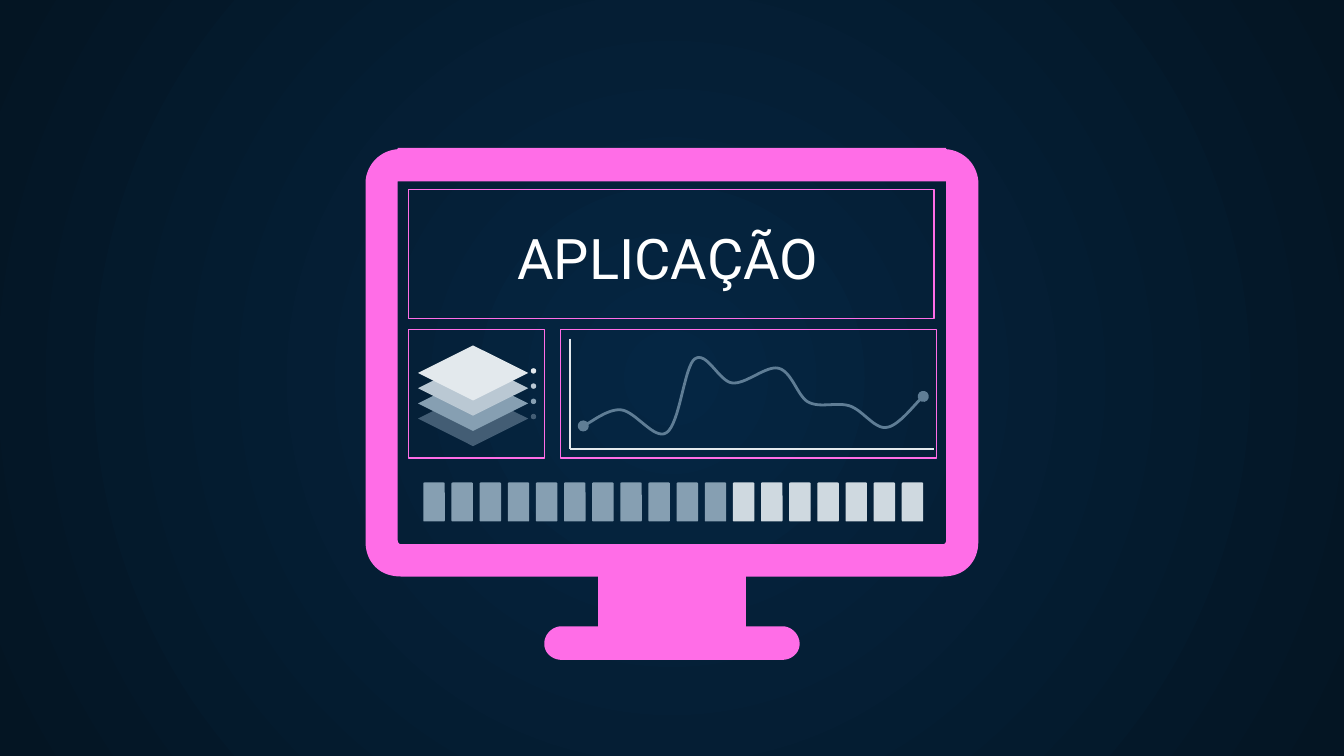
from lxml import etree
from pptx import Presentation
from pptx.dml.color import RGBColor
from pptx.enum.shapes import MSO_CONNECTOR, MSO_SHAPE as Preset
from pptx.enum.text import MSO_ANCHOR as Anchor, PP_ALIGN as Align
from pptx.oxml.ns import qn
from pptx.util import Inches, Pt

PINK, WHITE, PALE, SLATE = "FF6DE7", "FFFFFF", "E3E9ED", "5F7D95"
GLOW, NIGHT = "052643", "041523"
LAYERS = ["435D74", "869FB2", "BAC8D3", PALE]
BAR_DONE, BAR_LEFT = "869FB2", "CFD9E0"
CENTER_X = 5

# In an outline, a pair is a straight step and a six-tuple is a Bézier curve.
MONITOR_LEFT = [
    (CENTER_X, 1.1), (2.96, 1.1), (2.96, 1.11),
    (2.83, 1.12, 2.73, 1.22, 2.72, 1.35), (2.72, 4.02),
    (2.72, 4.08, 2.73, 4.12, 2.75, 4.16),
    (2.8, 4.25, 2.88, 4.29, 2.99, 4.29),
    (4.45, 4.29), (4.45, 4.66), (4.18, 4.66),
    (4.11, 4.66, 4.05, 4.72, 4.05, 4.79),
    (4.05, 4.86, 4.11, 4.91, 4.18, 4.91), (CENTER_X, 4.91)]
SCREEN_LEFT = [
    (CENTER_X, 1.35), (2.96, 1.35), (2.96, 4.02),
    (2.96, 4.04, 2.97, 4.05, 2.99, 4.05), (CENTER_X, 4.05)]
TREND = [
    (4.34, 3.17),
    (4.39, 3.15, 4.52, 3.04, 4.62, 3.05),
    (4.73, 3.06, 4.87, 3.28, 4.96, 3.22),
    (5.06, 3.15, 5.09, 2.73, 5.17, 2.67),
    (5.26, 2.61, 5.35, 2.84, 5.45, 2.85),
    (5.55, 2.86, 5.7, 2.72, 5.79, 2.74),
    (5.89, 2.76, 5.93, 2.94, 6.01, 2.99),
    (6.1, 3.04, 6.22, 2.99, 6.32, 3.02),
    (6.42, 3.05, 6.51, 3.2, 6.6, 3.18),
    (6.69, 3.17, 6.82, 2.99, 6.87, 2.95)]


def color(hex_text):
    return RGBColor.from_string(hex_text)


def flatten(outline, steps=16):
    """Turn an outline into points, sampling its curves."""
    points = []
    for part in outline:
        if len(part) == 2:
            points.append(part)
            continue
        x0, y0 = points[-1]
        x1, y1, x2, y2, x3, y3 = part
        for step in range(1, steps + 1):
            t = step / steps
            a, b, c, d = (1 - t) ** 3, 3 * t * (1 - t) ** 2, 3 * t * t * (1 - t), t ** 3
            points.append((a * x0 + b * x1 + c * x2 + d * x3,
                           a * y0 + b * y1 + c * y2 + d * y3))
    return points


def mirrored(left_half):
    """Complete a left half with its reflection about the centre line."""
    points = flatten(left_half)
    return points + [(2 * CENTER_X - x, y) for x, y in reversed(points)]


class Painter:
    def __init__(self, page, font="Roboto"):
        self.page = page
        self.shapes = page.shapes
        self.font = font

    def background(self, inner, outer):
        fill = self.page.background.fill
        fill.gradient()
        for stop, hex_text in zip(fill.gradient_stops, (inner, outer)):
            stop.color.rgb = color(hex_text)
        gradient = self.page.background._cSld.find(".//" + qn("a:gradFill"))
        linear = gradient.find(qn("a:lin"))
        circle = etree.Element(qn("a:path"), path="circle")
        etree.SubElement(circle, qn("a:fillToRect"),
                         l="50000", t="50000", r="50000", b="50000")
        gradient.replace(linear, circle)

    def paint(self, shape, fill=None, line=None, width=0.75):
        shape.shadow.inherit = False
        if fill:
            shape.fill.solid()
            shape.fill.fore_color.rgb = color(fill)
        else:
            shape.fill.background()
        if line:
            shape.line.color.rgb = color(line)
            shape.line.width = Pt(width)
        else:
            shape.line.fill.background()
        return shape

    def shape(self, preset, left, top, width, height, **style):
        shape = self.shapes.add_shape(
            preset, Inches(left), Inches(top), Inches(width), Inches(height))
        return self.paint(shape, **style)

    def freeform(self, contours, closed=True, **style):
        builder = None
        for contour in contours:
            start, *rest = [(Inches(x), Inches(y)) for x, y in contour]
            if builder is None:
                builder = self.shapes.build_freeform(*start)
            else:
                builder.move_to(*start)
            builder.add_line_segments(rest, close=closed)
        return self.paint(builder.convert_to_shape(), **style)

    def round_ends(self, shape):
        line = shape.line._get_or_add_ln()
        for end in ("a:headEnd", "a:tailEnd"):
            etree.SubElement(line, qn(end), type="oval", w="med", len="med")

    def line(self, x1, y1, x2, y2, hex_text, width=0.75):
        line = self.shapes.add_connector(
            MSO_CONNECTOR.STRAIGHT, Inches(x1), Inches(y1), Inches(x2), Inches(y2))
        line.line.color.rgb = color(hex_text)
        line.line.width = Pt(width)
        etree.SubElement(line._element.spPr, qn("a:effectLst"))

    def title(self, text, left, top, width, height, size):
        box = self.shapes.add_textbox(
            Inches(left), Inches(top), Inches(width), Inches(height))
        frame = box.text_frame
        frame.word_wrap = True
        frame.vertical_anchor = Anchor.BOTTOM
        frame.margin_left = frame.margin_right = Inches(0.1)
        frame.margin_top = frame.margin_bottom = Inches(0.1)
        frame.text = text
        para = frame.paragraphs[0]
        para.alignment = Align.CENTER
        font = para.runs[0].font
        font.name, font.size = self.font, Pt(size)
        font.color.rgb = color(WHITE)


def main():
    deck = Presentation()
    deck.slide_width, deck.slide_height = Inches(10), Inches(5.625)
    painter = Painter(deck.slides.add_slide(deck.slide_layouts[6]))
    painter.background(GLOW, NIGHT)

    painter.title("APLICAÇÃO", 3.62, 1.6, 2.7, 0.66, 30)
    painter.freeform([mirrored(MONITOR_LEFT), mirrored(SCREEN_LEFT)], fill=PINK)
    for left, top, width in [(3.04, 1.41, 3.91), (3.04, 2.45, 1.01), (4.17, 2.45, 2.8)]:
        painter.shape(Preset.RECTANGLE, left, top, width, 0.96, line=PINK)

    trend = painter.freeform([flatten(TREND)], closed=False, line=SLATE, width=1.5)
    painter.round_ends(trend)
    painter.line(4.24, 2.52, 4.24, 3.34, PALE)
    painter.line(4.24, 3.34, 6.95, 3.34, PALE)

    for index, hex_text in enumerate(LAYERS):
        top = 2.91 - index * 0.34 / 3
        painter.shape(Preset.DIAMOND, 3.11, top, 0.82, 0.41, fill=hex_text)
        painter.shape(Preset.OVAL, 3.95, top + 0.17, 0.04, 0.04, fill=hex_text)

    bar_count, done_count = 18, 11
    pitch = (6.71 - 3.15) / (bar_count - 1)
    for index in range(bar_count):
        bar = painter.shape(Preset.ROUNDED_RECTANGLE, 3.15 + index * pitch, 3.59, 0.16, 0.29,
                            fill=BAR_DONE if index < done_count else BAR_LEFT)
        bar.adjustments[0] = 0.05

    deck.save("out.pptx")


if __name__ == "__main__":
    main()
